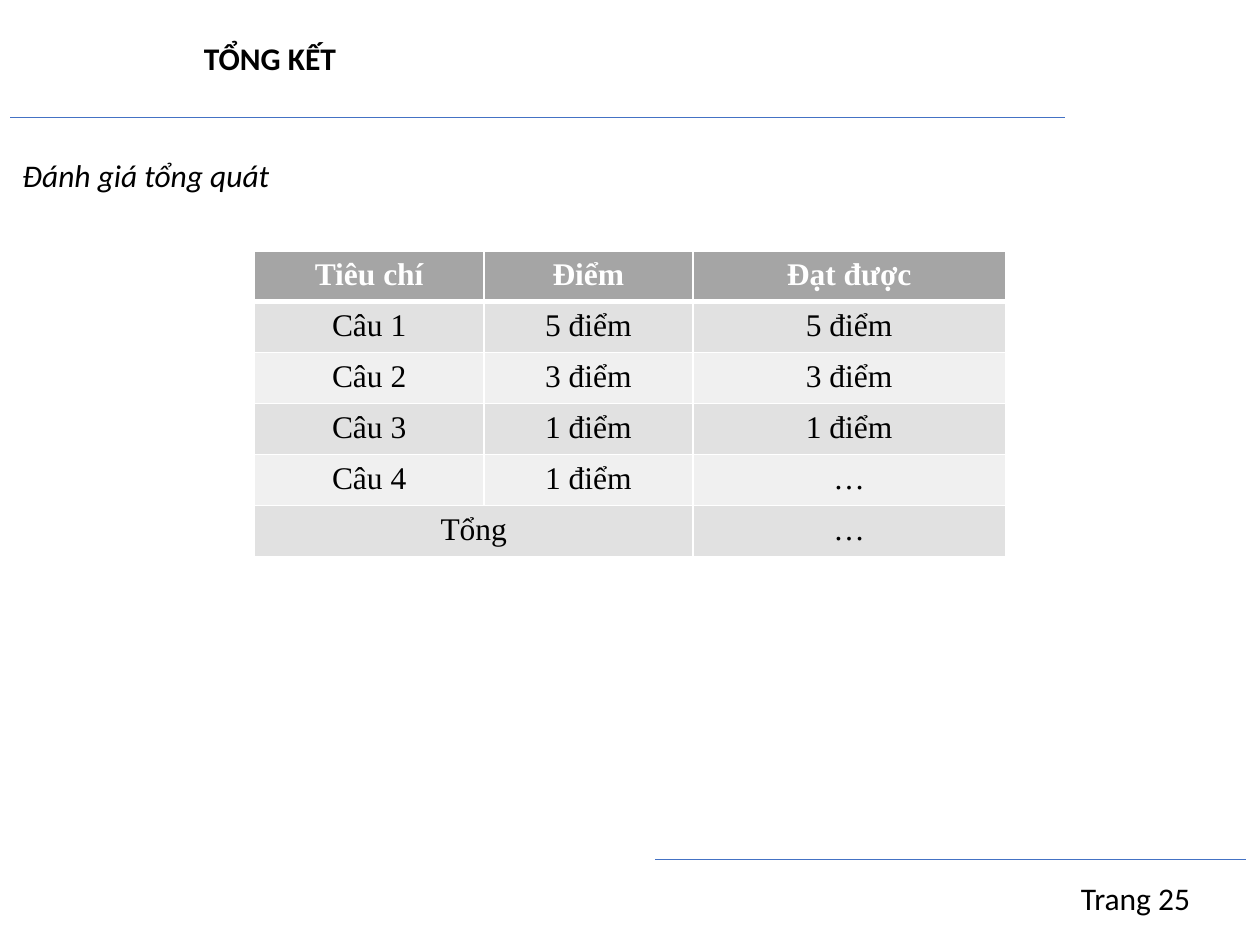
from lxml.etree import SubElement
from pptx import Presentation
from pptx.dml.color import RGBColor
from pptx.enum.shapes import MSO_CONNECTOR
from pptx.enum.text import MSO_AUTO_SIZE, PP_ALIGN
from pptx.oxml.ns import qn
from pptx.util import Inches, Pt

ROWS = [
    ("Tiêu chí", "Điểm", "Đạt được"),
    ("Câu 1", "5 điểm", "5 điểm"),
    ("Câu 2", "3 điểm", "3 điểm"),
    ("Câu 3", "1 điểm", "1 điểm"),
    ("Câu 4", "1 điểm", "…"),
    ("Tổng", "", "…"),
]
WIDTHS = (1.82, 1.66, 2.48)
ROW_HIGH = 0.405


def color(code):
    return RGBColor.from_string(code)


def style(para, face, ink="000000", bold=False, italic=False):
    font = para.font
    font.name, font.size = face, Pt(18)
    font.bold, font.italic = bold, italic
    font.color.rgb = color(ink)


def add_text(slide, text, left, top, width, wrap=True, **look):
    box = slide.shapes.add_textbox(
        Inches(left), Inches(top), Inches(width), Inches(0.4))
    frame = box.text_frame
    frame.word_wrap = wrap
    frame.auto_size = MSO_AUTO_SIZE.SHAPE_TO_FIT_TEXT
    frame.text = text
    style(frame.paragraphs[0], "Calibri", **look)


def add_rule(slide, left, right, y):
    line = slide.shapes.add_connector(
        MSO_CONNECTOR.STRAIGHT, Inches(left), Inches(y), Inches(right), Inches(y))
    line.line.color.rgb = color("4472C4")
    line.line.width = Pt(0.5)
    SubElement(line._element.spPr, qn("a:effectLst"))


def set_edges(cell, widths):
    """Draw white borders; widths maps a side (L, R, T, B) to points."""
    props = cell._tc.get_or_add_tcPr()
    for index, (side, width) in enumerate(widths.items()):
        edge = props.makeelement(qn(f"a:ln{side}"), {"w": str(Pt(width))})
        fill = SubElement(edge, qn("a:solidFill"))
        SubElement(fill, qn("a:srgbClr"), val="FFFFFF")
        props.insert(index, edge)


def fill_cell(cell, text, row):
    head = row == 0
    cell.text = text
    para = cell.text_frame.paragraphs[0]
    para.alignment = PP_ALIGN.CENTER
    style(para, "Times New Roman", "FFFFFF" if head else "000000", bold=head)
    cell.fill.solid()
    cell.fill.fore_color.rgb = color(
        "A5A5A5" if head else "E1E1E1" if row % 2 else "F0F0F0")
    set_edges(cell, {"L": 1, "R": 1, "T": 3 if row == 1 else 1, "B": 3 if head else 1})


def add_scores(slide):
    table = slide.shapes.add_table(
        len(ROWS), len(WIDTHS), Inches(2.02), Inches(1.99),
        Inches(sum(WIDTHS)), Inches(ROW_HIGH * len(ROWS))).table
    for column, width in zip(table.columns, WIDTHS):
        column.width = Inches(width)
    for row, texts in enumerate(ROWS):
        table.rows[row].height = Inches(ROW_HIGH)
        for col, text in enumerate(texts):
            fill_cell(table.cell(row, col), text, row)
    last = len(ROWS) - 1
    table.cell(last, 0).merge(table.cell(last, 1))


def main():
    deck = Presentation()
    deck.slide_width, deck.slide_height = Inches(10), Inches(7.5)
    slide = deck.slides.add_slide(deck.slide_layouts[6])
    add_rule(slide, 0.08, 8.45, 0.93)
    add_text(slide, "TỔNG KẾT", 1.52, 0.26, 6.96, bold=True)
    add_scores(slide)
    add_text(slide, "Đánh giá tổng quát", 0.08, 1.19, 2.18, wrap=False, italic=True)
    add_rule(slide, 5.2, 9.89, 6.82)
    add_text(slide, "Trang 25", 8.48, 6.93, 1.41)
    deck.save("out.pptx")


if __name__ == "__main__":
    main()
